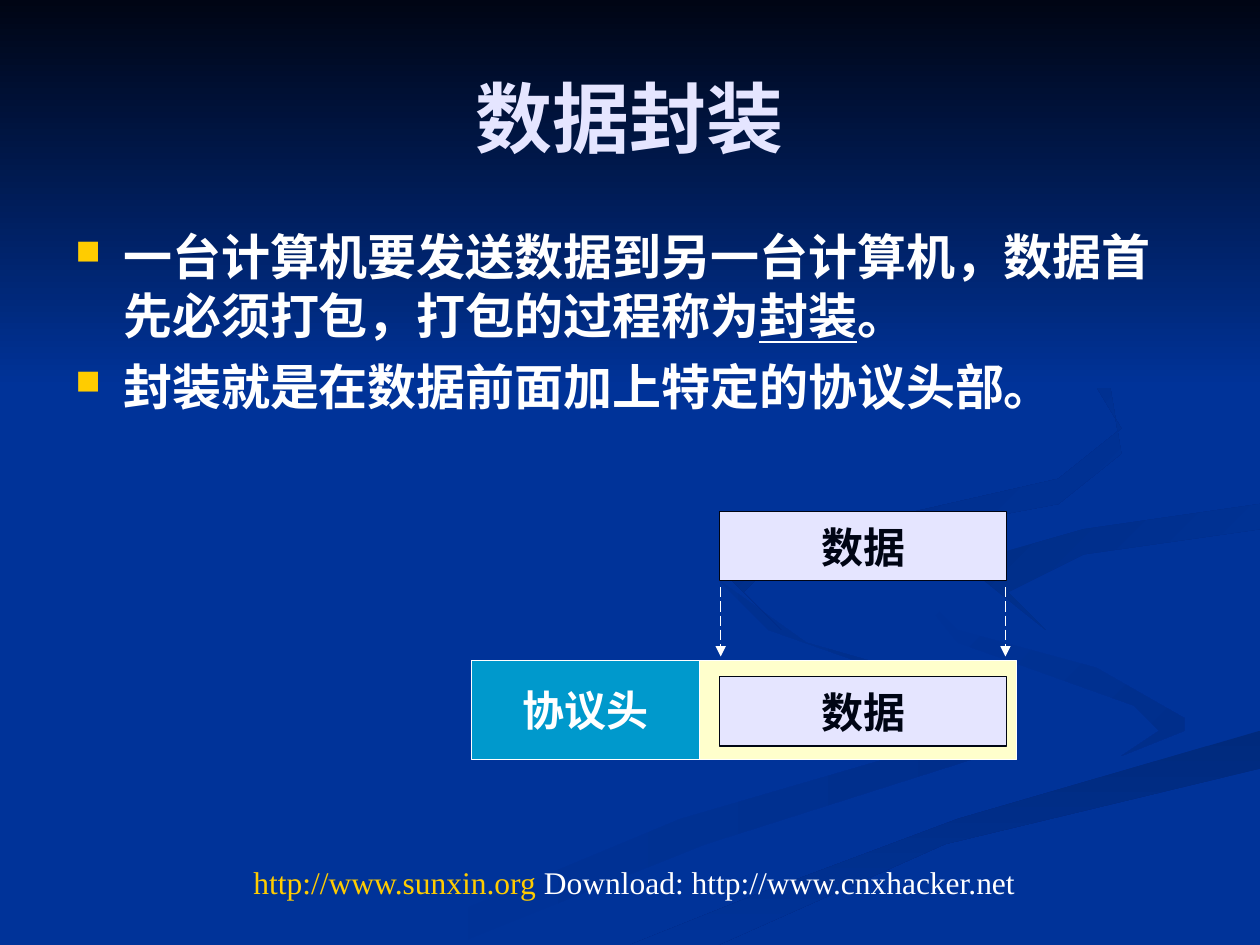
from lxml import etree
from pptx import Presentation
from pptx.dml.color import RGBColor
from pptx.enum.dml import MSO_LINE
from pptx.enum.shapes import MSO_CONNECTOR, MSO_SHAPE
from pptx.enum.text import MSO_ANCHOR, PP_ALIGN
from pptx.oxml.ns import qn
from pptx.util import Inches, Pt

RECTANGLE, STRAIGHT, DASH = MSO_SHAPE.RECTANGLE, MSO_CONNECTOR.STRAIGHT, MSO_LINE.LONG_DASH
CENTER, LEFT = PP_ALIGN.CENTER, PP_ALIGN.LEFT
TOP, MIDDLE = MSO_ANCHOR.TOP, MSO_ANCHOR.MIDDLE

FONT = "Times New Roman"
BLUE, NAVY, WHITE, GOLD = "003399", "000514", "FFFFFF", "FFCC00"
LILAC, CREAM, TEAL = "E5E5FF", "FFFFCC", "0099CC"
TENTH = Inches(0.1)

# Content: each paragraph is a list of (text, colour, underlined) runs
TITLE = [[("数据封装", LILAC, False)]]
BULLETS = [
    [("一台计算机要发送数据到另一台计算机，数据首先必须打包，打包的过程称为", WHITE, False),
     ("封装", WHITE, True), ("。", WHITE, False)],
    [("封装就是在数据前面加上特定的协议头部。", WHITE, False)],
]
FOOTER = [[("http://www.sunxin.org", GOLD, False),
           (" Download: http://www.cnxhacker.net", WHITE, False)]]
DATA, HEADER = "数据", "协议头"

# Background ribbons: start colour, end colour, angle, outline in tenths of an inch
RIBBONS = [
    (BLUE, "002E8B", 0, [
        (78, 55), (64, 51), (57, 46), (61, 50), (78, 56), (78, 58),
        (54, 65), (30, 75), (36, 75), (56, 67), (78, 60), (80, 58)]),
    (BLUE, "002E8B", 45, [
        (94, 57), (87, 53), (76, 50), (72, 46), (76, 51), (90, 56), (92, 58), (89, 60), (94, 58)]),
    ("002A7D", BLUE, 90, [(50, 75), (57, 75), (75, 67), (100, 61), (100, 58), (76, 65), (60, 71)]),
    ("002D86", BLUE, 45, [
        (78, 46), (83, 50), (80, 47), (86, 44), (100, 42), (100, 40), (86, 42), (79, 44)]),
    ("002B82", BLUE, 45, [
        (68, 43), (84, 40), (89, 36), (88, 30), (76, 23), (86, 29), (89, 34),
        (84, 38), (62, 43), (58, 46), (62, 50), (59, 47), (62, 44)]),
]
SKY = (0, 0, 10, 3.08)

# Diagram geometry in inches
DATA_LEFT, DATA_WIDTH, DATA_HEIGHT = 5.71, 2.28, 0.55
DATA_TOPS = (4.06, 5.37)
PACKET_LEFT, PACKET_TOP, PACKET_HEIGHT = 3.74, 5.24, 0.79
PACKET_WIDTH, HEADER_WIDTH = 4.33, 1.81
ARROW_INSET, ARROW_TOP, ARROW_BOTTOM = 0.01, 4.66, 5.21

prs = Presentation()
prs.slide_width, prs.slide_height = Inches(10), Inches(7.5)
slide = prs.slides.add_slide(prs.slide_layouts[6])
shapes = slide.shapes


def color(hex_value):
    return RGBColor.from_string(hex_value)


def shade_backdrop(backdrop, start, end, angle):
    backdrop.shadow.inherit = False
    backdrop.line.fill.background()
    backdrop.fill.gradient()
    backdrop.fill.gradient_angle = -angle % 360
    for stop, shade in zip(backdrop.fill.gradient_stops, (start, end)):
        stop.color.rgb = color(shade)


def add_ribbon(start, end, angle, outline):
    builder = shapes.build_freeform(*outline[0], scale=TENTH)
    builder.add_line_segments(outline[1:], close=True)
    shade_backdrop(builder.convert_to_shape(), start, end, angle)


def add_bullet(paragraph):
    props = paragraph._p.get_or_add_pPr()
    props.set("marL", str(Inches(0.38)))
    props.set("indent", str(-Inches(0.38)))
    bullet_color = etree.SubElement(props, qn("a:buClr"))
    etree.SubElement(bullet_color, qn("a:srgbClr"), val=GOLD)
    etree.SubElement(props, qn("a:buSzPct"), val="70000")
    etree.SubElement(props, qn("a:buChar"), char="■")


def add_text(box, paragraphs, size, bold=True, align=CENTER, anchor=MIDDLE, bullets=False):
    frame = box.text_frame
    frame.word_wrap = True
    frame.vertical_anchor = anchor
    for i, runs in enumerate(paragraphs):
        paragraph = frame.add_paragraph() if i else frame.paragraphs[0]
        paragraph.alignment = align
        if i:
            paragraph.space_before = Pt(7)
        if bullets:
            add_bullet(paragraph)
        font = paragraph.font
        font.name, font.size, font.bold = FONT, Pt(size), bold
        for text, shade, underlined in runs:
            run = paragraph.add_run()
            run.text = text
            run.font.color.rgb = color(shade)
            if underlined:
                run.font.underline = True


def add_textbox(*place):
    return shapes.add_textbox(*map(Inches, place))


def add_block(place, fill, line, label="", label_color=NAVY):
    block = shapes.add_shape(RECTANGLE, *map(Inches, place))
    block.shadow.inherit = False
    block.fill.solid()
    block.fill.fore_color.rgb = color(fill)
    block.line.color.rgb = color(line)
    block.line.width = Pt(0.75)
    if label:
        add_text(block, [[(label, label_color, False)]], 24)


def add_arrow(x):
    arrow = shapes.add_connector(STRAIGHT, *map(Inches, (x, ARROW_TOP, x, ARROW_BOTTOM)))
    arrow.line.color.rgb = color(WHITE)
    arrow.line.width = Pt(0.75)
    arrow.line.dash_style = DASH
    etree.SubElement(arrow.line._get_or_add_ln(), qn("a:tailEnd"), type="triangle")
    etree.SubElement(arrow._element.spPr, qn("a:effectLst"))


# Background
slide.background.fill.solid()
slide.background.fill.fore_color.rgb = color(BLUE)
for ribbon in RIBBONS:
    add_ribbon(*ribbon)
shade_backdrop(shapes.add_shape(RECTANGLE, *map(Inches, SKY)), NAVY, BLUE, 90)

# Title and bullets
add_text(add_textbox(0.5, 0.3, 9, 1.25), TITLE, 44)
add_text(add_textbox(0.5, 1.75, 9, 2.16), BULLETS, 28, align=LEFT, anchor=TOP, bullets=True)

# Encapsulation diagram: packet, its header, and the data before and after
add_block((PACKET_LEFT, PACKET_TOP, PACKET_WIDTH, PACKET_HEIGHT), CREAM, WHITE)
add_block((PACKET_LEFT, PACKET_TOP, HEADER_WIDTH, PACKET_HEIGHT), TEAL, WHITE, HEADER, WHITE)
for data_top in DATA_TOPS:
    add_block((DATA_LEFT, data_top, DATA_WIDTH, DATA_HEIGHT), LILAC, NAVY, DATA)
for arrow_x in (DATA_LEFT + ARROW_INSET, DATA_LEFT + DATA_WIDTH - ARROW_INSET):
    add_arrow(arrow_x)

# Footer
add_text(add_textbox(1.77, 6.8, 6.53, 0.7), FOOTER, 18, bold=False, anchor=TOP)

prs.save("out.pptx")
